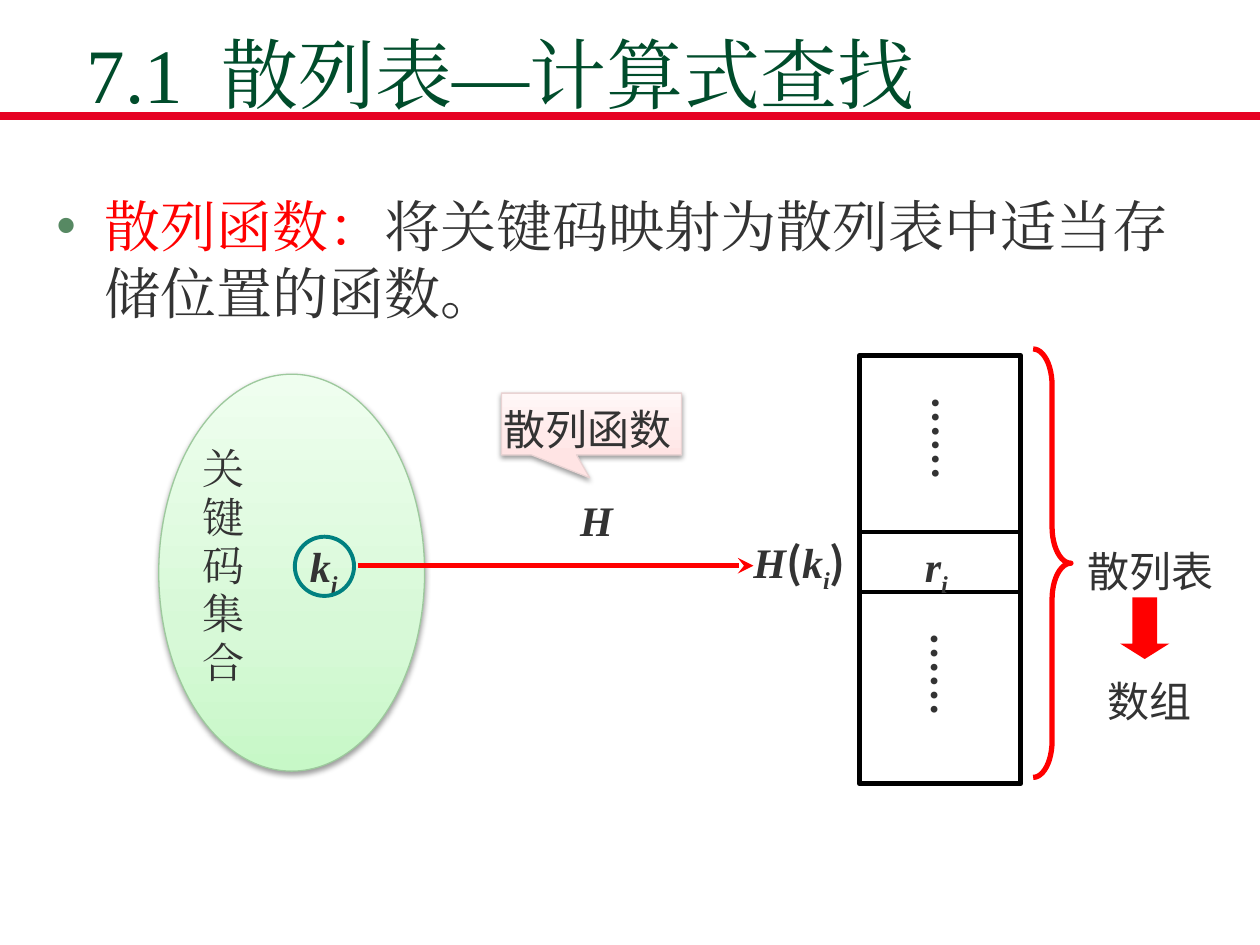
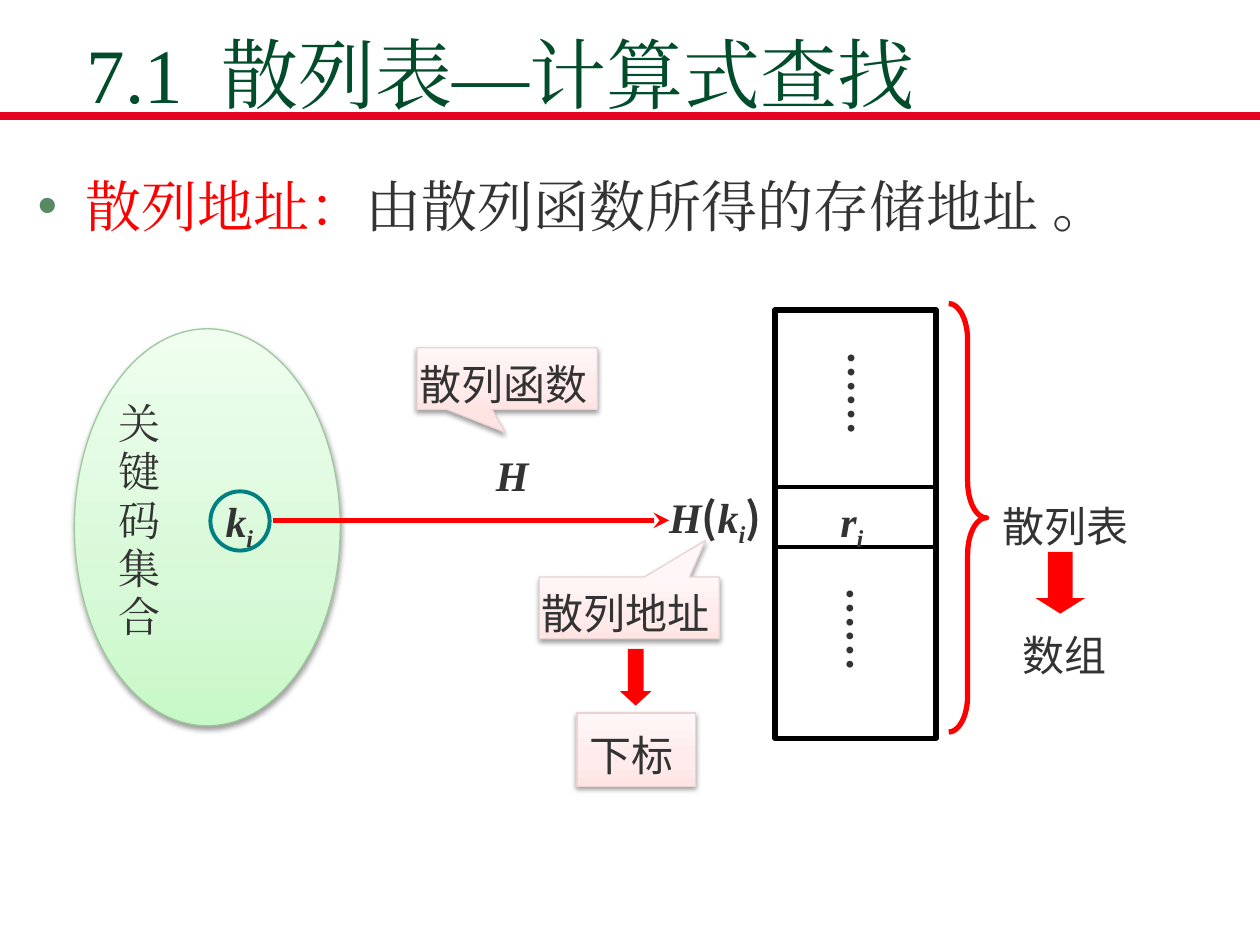
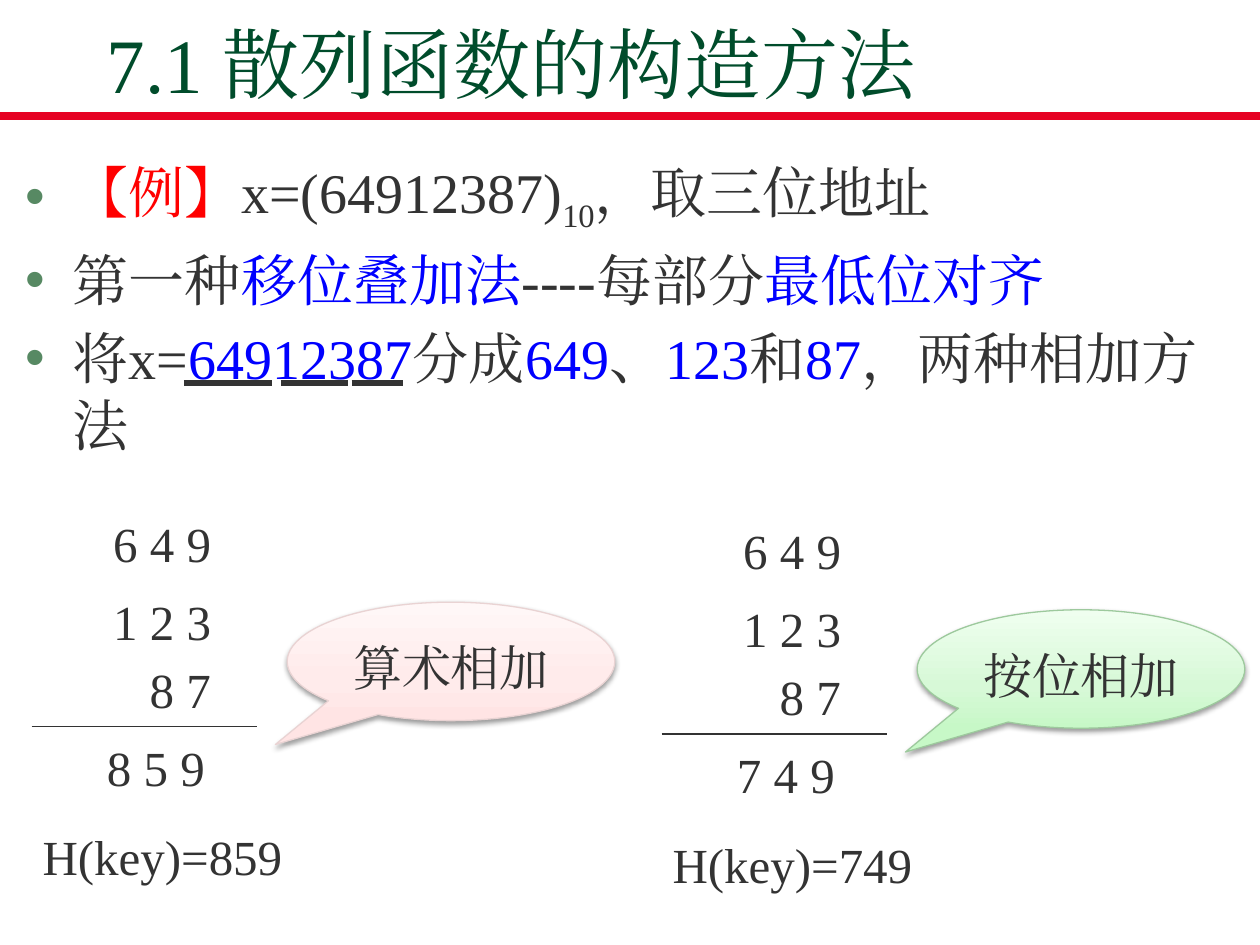
from dataclasses import dataclass, replace
from typing import NamedTuple

from lxml.etree import SubElement
from pptx import Presentation
from pptx.dml.color import RGBColor
from pptx.enum.shapes import MSO_CONNECTOR, MSO_SHAPE
from pptx.enum.text import MSO_ANCHOR, PP_ALIGN
from pptx.oxml import parse_xml
from pptx.oxml.ns import nsdecls, qn
from pptx.util import Inches, Pt

SLIDE_WIDTH, SLIDE_HEIGHT = Inches(10), Inches(7.5)
COLUMNS, ROWS = 100, 75

COLOURS = {
    "title": "004C2B", "band": "E60223", "text": "333333", "bullet": "578963",
    "red": "FF0000", "blue": "0000FF", "black": "000000", "teal": "008080",
    "pink_deep": "FFE4E4", "pink_mid": "FFEBEB", "pink_pale": "FFF7F7", "pink_edge": "E9D3D3",
    "green_deep": "C7F8C7", "green_mid": "D7F9D7", "green_pale": "EFFEEF", "green_edge": "9DC99D",
}
SERIF, SANS, CHINESE = "Times New Roman", "Arial", "Noto Sans CJK SC"
DEFAULT_INSETS = (1, 0.5, 1, 0.5)
TIGHT = (0.2, 0, 0.2, 0)
CALLOUT_INSETS = (0.2, 0.1, 0.2, 0.1)


class Frame(NamedTuple):
    """A place on the grid, in columns and rows."""
    left: float
    top: float
    width: float
    height: float

    def shifted(self, columns: float, rows: float) -> "Frame":
        return Frame(self.left + columns, self.top + rows, self.width, self.height)


@dataclass(frozen=True)
class Span:
    text: str
    size: float = 24
    colour: str = "text"
    font: str = SERIF
    bold: bool = False
    italic: bool = False
    lowered: bool = False
    spacing: float = 0


@dataclass(frozen=True)
class Style:
    line_spacing: float | None = None
    align: PP_ALIGN = PP_ALIGN.LEFT
    anchor: MSO_ANCHOR = MSO_ANCHOR.TOP
    insets: tuple = DEFAULT_INSETS
    bulleted: bool = False
    vertical: bool = False


LABEL = Style(line_spacing=1.2)
SYMBOL = Style(line_spacing=0.96, insets=TIGHT)
DOTS = Style(line_spacing=0.96, insets=(0.2, 0.4, 0.2, 0), vertical=True)
CALLOUT = Style(line_spacing=1.2, anchor=MSO_ANCHOR.MIDDLE, insets=CALLOUT_INSETS)
BUBBLE = replace(LABEL, align=PP_ALIGN.CENTER, anchor=MSO_ANCHOR.MIDDLE)
BODY = Style(bulleted=True)


def across(columns: float) -> int:
    return round(SLIDE_WIDTH * columns / COLUMNS)


def down(rows: float) -> int:
    return round(SLIDE_HEIGHT * rows / ROWS)


def place(frame: Frame) -> tuple:
    return across(frame.left), down(frame.top), across(frame.width), down(frame.height)


def rgb(name: str) -> RGBColor:
    return RGBColor.from_string(COLOURS[name])


def add_bullet(paragraph) -> None:
    properties = paragraph._p.get_or_add_pPr()
    properties.set("marL", str(across(3.8)))
    properties.set("indent", str(-across(3.8)))
    colour = SubElement(properties, qn("a:buClr"))
    SubElement(colour, qn("a:srgbClr"), val=COLOURS["bullet"])
    SubElement(properties, qn("a:buFont"), typeface=SANS)
    SubElement(properties, qn("a:buChar"), char="•")


def add_span(paragraph, span: Span) -> None:
    run = paragraph.add_run()
    run.text = span.text
    font = run.font
    font.size, font.name = Pt(span.size), span.font
    font.bold, font.italic = span.bold, span.italic
    font.color.rgb = rgb(span.colour)
    properties = run._r.get_or_add_rPr()
    SubElement(properties, qn("a:ea"), typeface=span.font)
    if span.lowered:
        properties.set("baseline", "-25000")
    if span.spacing:
        properties.set("spc", str(round(span.spacing * 100)))


def write(shape, paragraphs: list[list[Span]], style: Style) -> None:
    text_frame = shape.text_frame
    text_frame.word_wrap = True
    text_frame.vertical_anchor = style.anchor
    left, top, right, bottom = style.insets
    text_frame.margin_left, text_frame.margin_right = across(left), across(right)
    text_frame.margin_top, text_frame.margin_bottom = down(top), down(bottom)
    if style.vertical:
        text_frame._txBody.bodyPr.set("vert", "eaVert")
    for number, spans in enumerate(paragraphs):
        paragraph = text_frame.add_paragraph() if number else text_frame.paragraphs[0]
        if style.bulleted:
            add_bullet(paragraph)
        paragraph.alignment = style.align
        if style.line_spacing:
            paragraph.line_spacing = style.line_spacing
        if number:
            paragraph.space_before = Pt(spans[0].size * 0.2)
        for span in spans:
            add_span(paragraph, span)


def add_text(page, frame: Frame, paragraphs: list[list[Span]], style: Style) -> None:
    write(page.shapes.add_textbox(*place(frame)), paragraphs, style)


def add_line(page, start: tuple, end: tuple, colour: str, width: float, arrow: bool = False) -> None:
    line = page.shapes.add_connector(
        MSO_CONNECTOR.STRAIGHT, across(start[0]), down(start[1]), across(end[0]), down(end[1]))
    line.line.color.rgb = rgb(colour)
    line.line.width = Pt(width)
    if arrow:
        SubElement(line.line._get_or_add_ln(), qn("a:tailEnd"), type="stealth")
    SubElement(line._element.spPr, qn("a:effectLst"))


def add_figure(page, kind: MSO_SHAPE, frame: Frame, adjustments: tuple = (),
               fill: str = "", edge: str = "", width: float = 0):
    """Add a flat preset shape; an empty colour means none."""
    shape = page.shapes.add_shape(kind, *place(frame))
    shape.shadow.inherit = False
    for number, value in enumerate(adjustments):
        shape.adjustments[number] = value
    if fill:
        shape.fill.solid()
        shape.fill.fore_color.rgb = rgb(fill)
    else:
        shape.fill.background()
    if edge:
        shape.line.color.rgb = rgb(edge)
        shape.line.width = Pt(width)
    else:
        shape.line.fill.background()
    return shape


def add_tinted(page, kind: MSO_SHAPE, frame: Frame, tint: str, adjustments: tuple = ()):
    """Add a shape with an upward pale gradient and a soft shadow."""
    shape = add_figure(page, kind, frame, adjustments, edge=f"{tint}_edge", width=0.75)
    stops = "".join(
        f'<a:gs pos="{share * 1000}"><a:srgbClr val="{COLOURS[f"{tint}_{tone}"]}"/></a:gs>'
        for share, tone in ((0, "deep"), (35, "mid"), (100, "pale")))
    gradient = parse_xml(
        f'<a:gradFill {nsdecls("a")} rotWithShape="1"><a:gsLst>{stops}</a:gsLst>'
        '<a:lin ang="16200000" scaled="1"/></a:gradFill>')
    properties = shape._element.spPr
    properties.replace(properties.find(qn("a:noFill")), gradient)
    properties.find(qn("a:effectLst")).append(parse_xml(
        f'<a:outerShdw {nsdecls("a")} blurRad="{Pt(3.1)}" dist="{Pt(1.6)}" dir="5400000" '
        'rotWithShape="0"><a:srgbClr val="000000"><a:alpha val="38000"/></a:srgbClr></a:outerShdw>'))
    return shape


def add_page(deck, title: list[Span], frame: Frame, style: Style):
    """Add a blank page with the red band and its title."""
    page = deck.slides.add_slide(deck.slide_layouts[6])
    add_line(page, (0, 9.2), (COLUMNS, 9.2), "band", 4.5)
    add_text(page, frame, [title], style)
    return page


def add_callout(page, frame: Frame, tip: tuple, text: str) -> None:
    shape = add_tinted(page, MSO_SHAPE.RECTANGULAR_CALLOUT, frame, "pink", tip)
    write(shape, [[Span(text, font=SANS)]], CALLOUT)


def symbol(text: str, **changes) -> Span:
    return Span(text, bold=True, italic=True, **changes)


def add_hash_diagram(page, left: float, top: float) -> None:
    """Draw the mapping from key set to hash table, its corner at left and top."""
    def at(column: float, row: float, width: float, height: float) -> Frame:
        return Frame(column, row, width, height).shifted(left, top)

    subscript = symbol("i", lowered=True)
    add_tinted(page, MSO_SHAPE.OVAL, at(0, 0, 21.1, 31.5), "green")
    add_figure(page, MSO_SHAPE.RECTANGLE, at(55.6, -1.5, 12.8, 34), edge="black", width=3)
    for row in (12.55, 17.3):
        add_line(page, (left + 55.6, top + row), (left + 68.4, top + row), "black", 2.25)
    add_figure(page, MSO_SHAPE.RIGHT_BRACE, at(69.4, -2, 3, 34), (0.959, 0.5), edge="red", width=3)
    add_figure(page, MSO_SHAPE.DOWN_ARROW, at(76.3, 17.7, 3.9, 4.9), (0.5, 0.313), fill="red")
    add_callout(page, at(27.2, 1.5, 14.3, 4.9), (-0.01, 0.871), "散列函数")

    for frame, text in ((at(72.7, 12.3, 12.1, 5.8), "散列表"), (at(74.3, 22.6, 8.9, 5.8), "数组")):
        add_text(page, frame, [[Span(text, font=SANS)]], LABEL)
    add_text(page, at(3.3, 5.7, 3.4, 19.2), [[Span("关键码集合")]], SYMBOL)
    for letter, column in (("k", 11.8), ("r", 60.6)):
        add_text(page, at(column, 13.2, 4, 3.6), [[symbol(letter), subscript]], SYMBOL)
    hash_address = [
        symbol("H"), Span("(", font=CHINESE, bold=True), symbol("k"), subscript,
        Span(")", font=CHINESE, bold=True)]
    add_text(page, at(47, 12.9, 8.1, 2.8), [hash_address], SYMBOL)
    for column, row in ((61, 1.4), (60.9, 20.1)):
        add_text(page, at(column, row, 3.7, 9), [[Span("……", bold=True)]], DOTS)
    add_text(page, at(24.1, 9.8, 21.3, 3.7), [[symbol("H")]], replace(SYMBOL, align=PP_ALIGN.CENTER))

    add_line(page, (left + 15.8, top + 15.2), (left + 47.2, top + 15.2), "red", 3, arrow=True)
    add_figure(page, MSO_SHAPE.OVAL, at(10.8, 12.9, 4.7, 4.7), edge="teal", width=2.25)


def add_hash_page(deck, term: str, meaning: str, body: Frame, corner: tuple):
    title = [Span(text, 44, "title", spacing=gap)
             for text, gap in (("7.1", 0), (" ", 11), ("散列表—计算式查找", 0))]
    page = add_page(deck, title, Frame(5.9, 1.3, 83.4, 7.5), replace(LABEL, anchor=MSO_ANCHOR.MIDDLE))
    add_text(page, body, [[Span(term, 32, "red"), Span(meaning, 32)]], BODY)
    add_hash_diagram(page, *corner)
    return page


def add_subscript_note(page) -> None:
    add_callout(page, Frame(42.8, 45.8, 14.3, 4.9), (0.423, -1.094), "散列地址")
    add_figure(page, MSO_SHAPE.DOWN_ARROW, Frame(49.2, 51.5, 2.5, 4.5), (0.5, 0.458), fill="red")
    note = add_tinted(page, MSO_SHAPE.RECTANGLE, Frame(45.8, 56.6, 9.4, 5.8), "pink")
    write(note, [[Span("下标", font=SANS)]], LABEL)


def add_sum(page, left: float, top: float, total: str, method: str, tint: str) -> None:
    """Draw one column addition with its result and a bubble naming the method."""
    rows = (
        ("6 4 9", Frame(5.6, 0, 16.8, 6.6)),
        ("1 2 3", Frame(5.6, 6.2, 16.8, 6.6)),
        ("8 7", Frame(8.5, 11.6, 11.7, 6.6)),
        (" ".join(total), Frame(5.1, 17.8, 18.9, 6.6)),
        (f"H(key)={total}", Frame(0, 24.9, 30.7, 6.6)),
    )
    for text, frame in rows:
        add_text(page, frame.shifted(left, top), [[Span(text, 28)]], LABEL)
    add_line(page, (left + 0.1, top + 18.35), (left + 18, top + 18.35), "text", 0.75)
    bubble = add_tinted(page, MSO_SHAPE.OVAL_CALLOUT, Frame(20.4, 8.5, 26, 9.4).shifted(left, top),
                        tint, (-0.536, 0.701))
    write(bubble, [[Span(method, 28)]], BUBBLE)


def add_folding_page(deck) -> None:
    page = add_page(deck, [Span("7.1 散列函数的构造方法", 44, "title")],
                    Frame(7.5, 2.6, 85, 6.5), Style(anchor=MSO_ANCHOR.BOTTOM))
    points = [
        [Span("【例】", 32, "red"), Span("x=(64912387)", 32), Span("10", 32, lowered=True),
         Span("，取三位地址", 32)],
        [Span("第一种", 32), Span("移位叠加法", 32, "blue"), Span("----每部分", 32),
         Span("最低位对齐", 32, "blue")],
        [Span(text, 32, "blue" if text.isdigit() else "text")
         for text in ("将x=", "64912387", "分成", "649", "、", "123", "和", "87", "，两种相加方法")],
    ]
    add_text(page, Frame(1, 12, 98.2, 24.3), points, BODY)
    for start, end in ((14.6, 21.6), (22.3, 27.6), (27.9, 32)):
        add_line(page, (start, 30.4), (end, 30.4), "text", 3)
    add_sum(page, 2.4, 39.3, "859", "算术相加", "pink")
    add_sum(page, 52.4, 39.9, "749", "按位相加", "green")


def main() -> None:
    deck = Presentation()
    deck.slide_width, deck.slide_height = SLIDE_WIDTH, SLIDE_HEIGHT
    add_hash_page(deck, "散列函数：", "将关键码映射为散列表中适当存储位置的函数。",
                  Frame(3.5, 14.7, 91.7, 11.8), (12.6, 29.7))
    address_page = add_hash_page(deck, "散列地址：", "由散列函数所得的存储地址 。",
                                 Frame(2, 13.1, 91.7, 6.4), (5.9, 26.1))
    add_subscript_note(address_page)
    add_folding_page(deck)
    deck.save("out.pptx")


if __name__ == "__main__":
    main()
